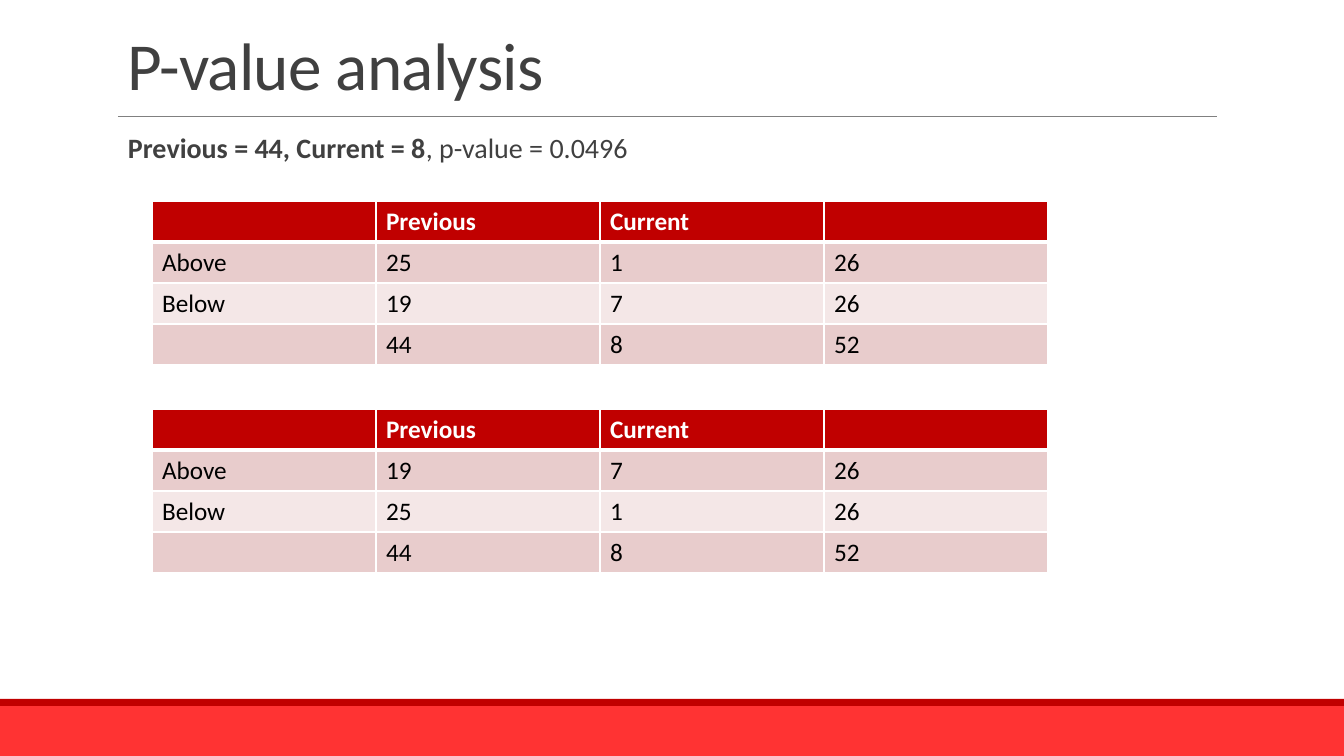
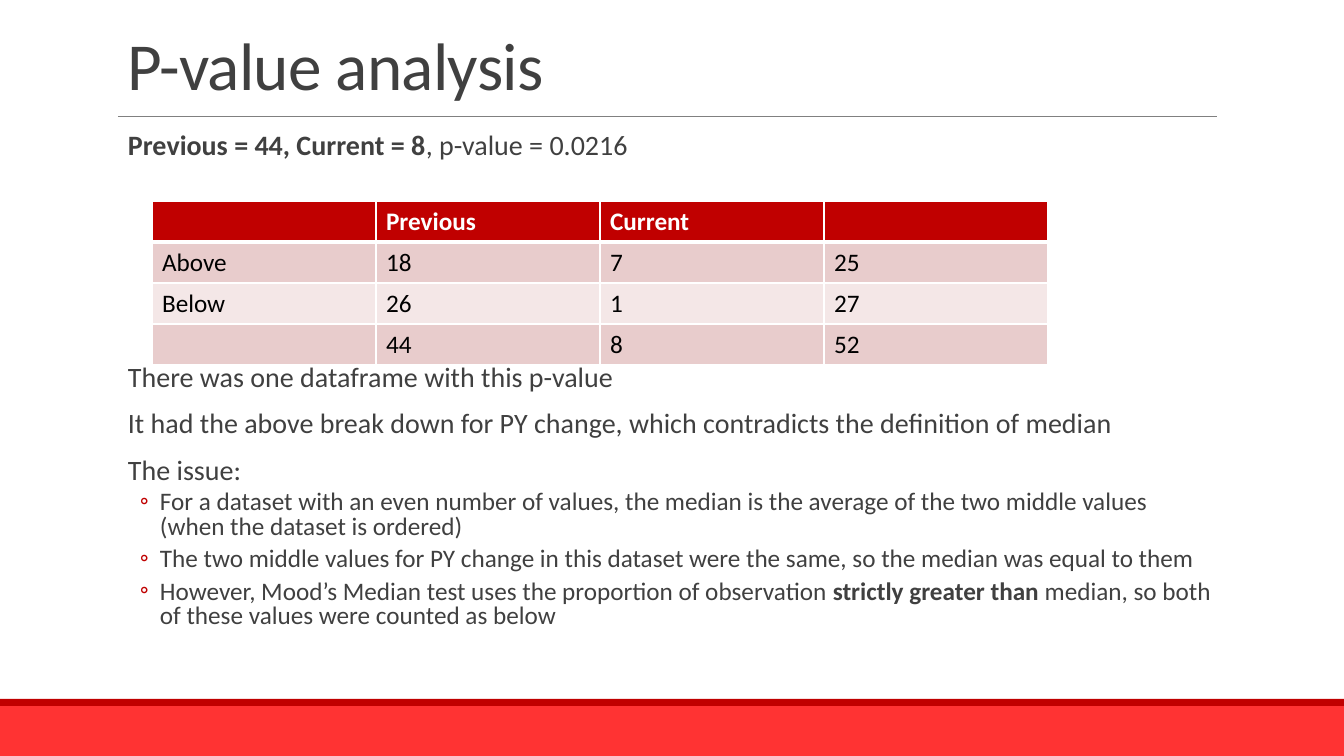
import dataclasses

import lxml.etree
import pptx
import pptx.dml.color
import pptx.enum.shapes
import pptx.enum.text
import pptx.oxml
import pptx.oxml.ns
import pptx.util

PX = 9071  # EMU per px
SLIDE_WIDTH, SLIDE_HEIGHT = 1344, 756


@dataclasses.dataclass(frozen=True)
class Theme:
    font: str = "Calibri"
    ink: str = "404040"
    black: str = "000000"
    white: str = "FFFFFF"
    accent: str = "C00000"
    footer: str = "FF3333"
    rule: str = "808080"
    bands: tuple = ("E8CCCC", "F4E7E7")
    title_size: int = 48
    body_size: int = 20
    small_size: int = 18


theme = Theme()
rgb = pptx.dml.color.RGBColor.from_string
qn = pptx.oxml.ns.qn


def add_text(frame, text, *, size=theme.body_size, color=theme.ink, bold=False, line=None,
             before=0, after=0, margin=0, bullet=None, hanging=0, tracking=0):
    """Add one paragraph; parts between ** marks are bold."""
    paragraph = frame.add_paragraph() if frame.text else frame.paragraphs[0]
    paragraph.line_spacing = line
    paragraph.space_before = pptx.util.Pt(before)
    paragraph.space_after = pptx.util.Pt(after)
    properties = paragraph._p.get_or_add_pPr()
    properties.set("marL", str(margin * PX))
    properties.set("indent", str(-hanging * PX))
    if bullet:
        bullet_color = lxml.etree.SubElement(properties, qn("a:buClr"))
        lxml.etree.SubElement(bullet_color, qn("a:srgbClr"), val=theme.accent)
        lxml.etree.SubElement(properties, qn("a:buFont"), typeface=theme.font)
        lxml.etree.SubElement(properties, qn("a:buChar"), char=bullet)
    for index, part in enumerate(text.split("**")):
        if part:
            run = paragraph.add_run()
            run.text = part
            run.font.name = theme.font
            run.font.size = pptx.util.Pt(size)
            run.font.bold = bold or index % 2 == 1
            run.font.color.rgb = rgb(color)
            if tracking:
                run._r.get_or_add_rPr().set("spc", str(tracking))


def add_frame(slide, top, height, side_inset=0, anchor=pptx.enum.text.MSO_ANCHOR.TOP):
    """Add a text box across the content column and return its text frame."""
    frame = slide.shapes.add_textbox(118 * PX, top * PX, 1099 * PX, height * PX).text_frame
    frame.word_wrap = True
    frame.margin_left = frame.margin_right = side_inset * PX
    frame.margin_top = frame.margin_bottom = 5 * PX
    frame.vertical_anchor = anchor
    return frame


body_style = dict(before=12, after=2, margin=10)
bullet_style = dict(size=theme.small_size, before=2, after=4, margin=42, hanging=20, bullet="◦")

# Each table holds the rows above and below the median; totals are worked out.
slides = [
    dict(p_value="0.0496", line=0.9, findings=[], issues=[],
         tables=[[(25, 1), (19, 7)], [(19, 7), (25, 1)]]),
    dict(p_value="0.0216", line=0.8,
         tables=[[(18, 7), (26, 1)]],
         findings=[
             "There was one dataframe with this p-value",
             "It had the above break down for PY change, which contradicts the definition of median",
             "The issue:",
         ],
         issues=[
             "For a dataset with an even number of values, the median is the average of the two "
             "middle values (when the dataset is ordered)",
             "The two middle values for PY change in this dataset were the same, so the median "
             "was equal to them",
             "However, Mood’s Median test uses the proportion of observation **strictly greater "
             "than **median, so both of these values were counted as below",
         ]),
]

presentation = pptx.Presentation()
presentation.slide_width = SLIDE_WIDTH * PX
presentation.slide_height = SLIDE_HEIGHT * PX

for content in slides:
    slide = presentation.slides.add_slide(presentation.slide_layouts[6])

    # Footer bands and title rule
    for top, height, color in ((706, 50, theme.footer), (699, 7, theme.accent)):
        band = slide.shapes.add_shape(pptx.enum.shapes.MSO_SHAPE.RECTANGLE,
                                      0, top * PX, SLIDE_WIDTH * PX, height * PX)
        band.shadow.inherit = False
        band.fill.solid()
        band.fill.fore_color.rgb = rgb(color)
        band.line.fill.background()
    rule = slide.shapes.add_connector(pptx.enum.shapes.MSO_CONNECTOR.STRAIGHT,
                                      118 * PX, 116 * PX, 1217 * PX, 116 * PX)
    rule.line.color.rgb = rgb(theme.rule)
    rule.line.width = pptx.util.Pt(0.5)
    lxml.etree.SubElement(rule._element.spPr, qn("a:effectLst"))

    # Title and body text
    title = add_frame(slide, 6, 103, side_inset=10, anchor=pptx.enum.text.MSO_ANCHOR.BOTTOM)
    add_text(title, "P-value analysis", size=theme.title_size, line=0.85, tracking=-50)
    summary = add_frame(slide, 129, 50)
    add_text(summary, f"**Previous = 44, Current = 8**, p-value = {content['p_value']}",
             line=content["line"], **body_style)
    if content["findings"]:
        details = add_frame(slide, 361, 286)
        for finding in content["findings"]:
            add_text(details, finding, line=content["line"], **body_style)
        for issue in content["issues"]:
            add_text(details, issue, line=content["line"], **bullet_style)

    # Contingency tables
    for table_index, (above, below) in enumerate(content["tables"]):
        totals = [sum(pair) for pair in zip(above, below)]
        rows = [
            ["", "Previous", "Current", ""],
            ["Above", *above, sum(above)],
            ["Below", *below, sum(below)],
            ["", *totals, sum(totals)],
        ]
        table = slide.shapes.add_table(len(rows), 4, 152 * PX, (201 + 208 * table_index) * PX,
                                       4 * 224 * PX, len(rows) * 41 * PX).table
        table.horz_banding = False
        for row_index, row in enumerate(rows):
            header = row_index == 0
            for column_index, value in enumerate(row):
                cell = table.cell(row_index, column_index)
                cell.fill.solid()
                cell.fill.fore_color.rgb = rgb(
                    theme.accent if header else theme.bands[(row_index - 1) % 2])
                if value != "":
                    add_text(cell.text_frame, str(value), size=theme.small_size, bold=header,
                             color=theme.white if header else theme.black)
                cell_properties = cell._tc.get_or_add_tcPr()
                for position, side in enumerate("LRTB"):
                    thick = (row_index, side) in ((0, "B"), (1, "T"))
                    border = pptx.oxml.parse_xml(
                        f'<a:ln{side} {pptx.oxml.ns.nsdecls("a")} '
                        f'w="{pptx.util.Pt(3 if thick else 1)}"><a:solidFill>'
                        f'<a:srgbClr val="{theme.white}"/></a:solidFill></a:ln{side}>')
                    cell_properties.insert(position, border)

presentation.save("out.pptx")
